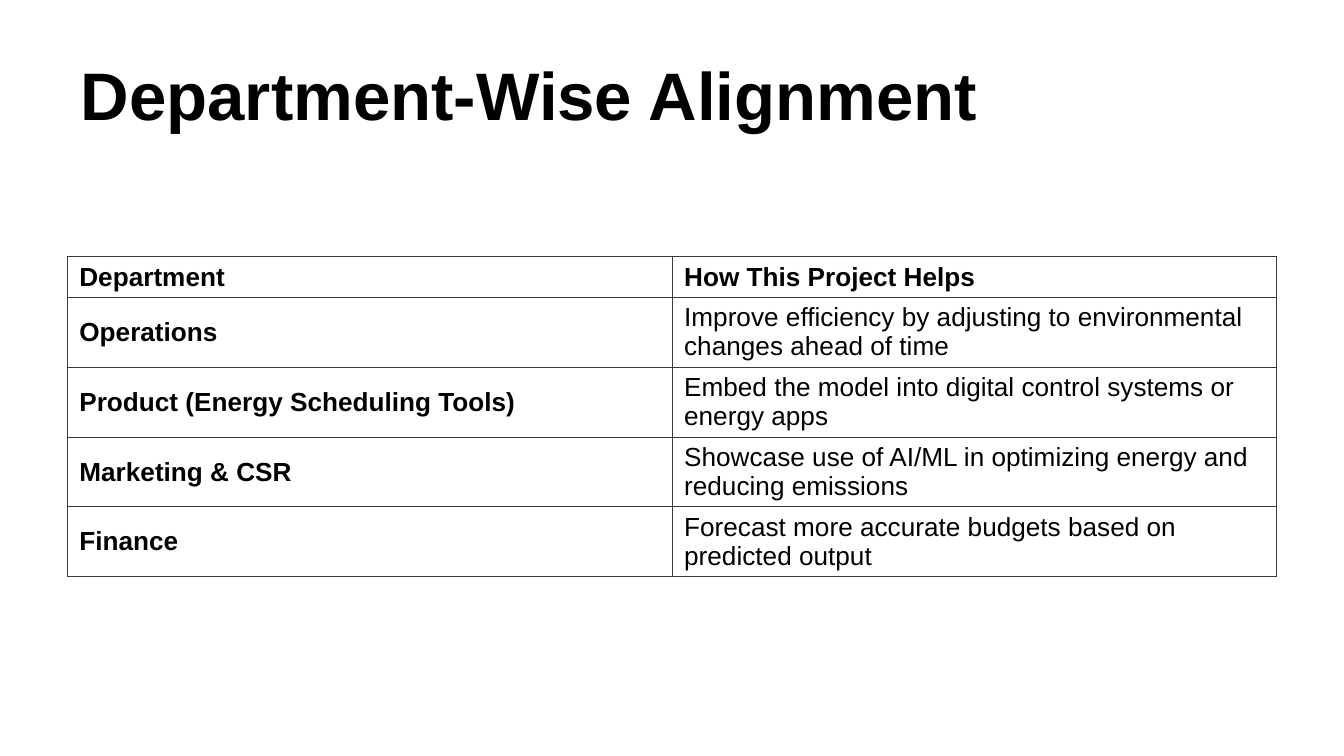
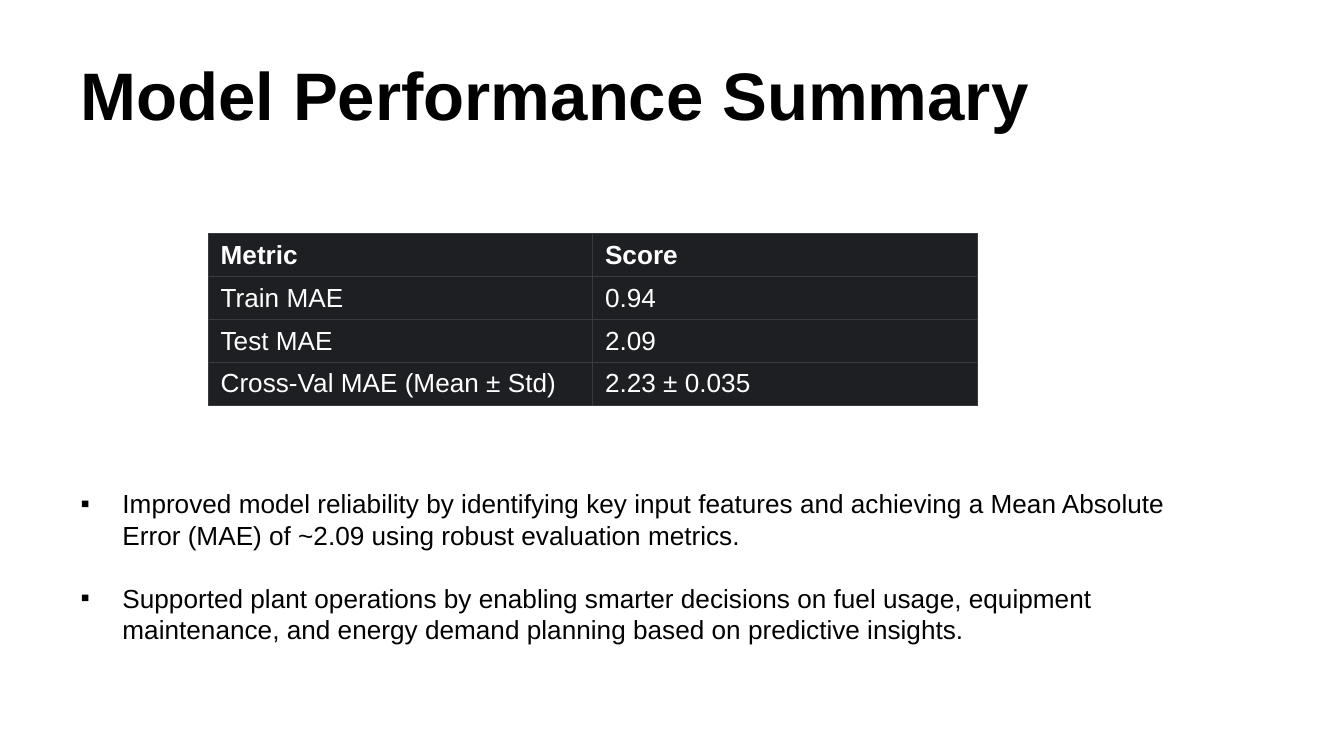
"""Build two slides: department alignment and model performance."""
from pptx import Presentation
from pptx.dml.color import RGBColor
from pptx.enum.text import MSO_ANCHOR as Anchor, MSO_AUTO_SIZE as Fit, PP_ALIGN as Align
from pptx.oxml import parse_xml
from pptx.oxml.ns import nsdecls
from pptx.util import Cm, Pt

BLACK = RGBColor(0x00, 0x00, 0x00)
WHITE = RGBColor(0xFF, 0xFF, 0xFF)
DARK = RGBColor(0x1E, 0x1F, 0x22)
EDGE = RGBColor(0x39, 0x3B, 0x40)
FONT = "Arial"
LEFT, WIDTH = Cm(1.27), Cm(22.86)

HELP = [
    ("Department", "How This Project Helps"),
    ("Operations", "Improve efficiency by adjusting to environmental changes ahead of time"),
    ("Product (Energy Scheduling Tools)",
     "Embed the model into digital control systems or energy apps"),
    ("Marketing & CSR", "Showcase use of AI/ML in optimizing energy and reducing emissions"),
    ("Finance", "Forecast more accurate budgets based on predicted output"),
]
SCORES = [
    ("Metric", "Score"),
    ("Train MAE", "0.94"),
    ("Test MAE", "2.09"),
    ("Cross-Val MAE (Mean ± Std)", "2.23 ± 0.035"),
]
POINTS = [
    "Improved model reliability by identifying key input features and achieving "
    "a Mean Absolute Error (MAE) of ~2.09 using robust evaluation metrics.",
    "Supported plant operations by enabling smarter decisions on fuel usage, equipment "
    "maintenance, and energy demand planning based on predictive insights.",
]


def style(para, size, color, bold=False):
    para.alignment = Align.LEFT
    for run in para.runs:
        font = run.font
        font.name, font.size, font.bold = FONT, Pt(size), bold
        font.color.rgb = color


def add_grid(slide, data, left, top, width, heights, color, fill=None, lead=False):
    frame = slide.shapes.add_table(len(data), 2, left, top, width, sum(heights))
    table = frame.table
    table.first_row = table.horz_banding = False
    for row, height in zip(table.rows, heights):
        row.height = height
    for r, texts in enumerate(data):
        for c, text in enumerate(texts):
            cell = table.cell(r, c)
            cell.text_frame.text = text
            style(cell.text_frame.paragraphs[0], 14, color, r == 0 or (lead and c == 0))
            cell.vertical_anchor = Anchor.MIDDLE
            cell.margin_left = cell.margin_right = Cm(0.23)
            cell.margin_top = cell.margin_bottom = Cm(0.1)
            props = cell._tc.get_or_add_tcPr()
            for side in "LRTB":
                props.append(parse_xml(
                    f'<a:ln{side} {nsdecls("a")} w="{Pt(0.5)}"><a:solidFill>'
                    f'<a:srgbClr val="{EDGE}"/></a:solidFill></a:ln{side}>'))
            if fill is None:
                cell.fill.background()
            else:
                cell.fill.solid()
                cell.fill.fore_color.rgb = fill


deck = Presentation()
deck.slide_width, deck.slide_height = Cm(25.4), Cm(14.29)

slides = []
for name, index in [("Department-Wise Alignment", 5), ("Model Performance Summary", 1)]:
    slide = deck.slides.add_slide(deck.slide_layouts[index])
    slide.background.fill.solid()
    slide.background.fill.fore_color.rgb = WHITE
    title = slide.shapes.title
    title.left, title.top, title.width, title.height = LEFT, Cm(0.58), WIDTH, Cm(2.39)
    title.text_frame.text = name
    title.text_frame.auto_size = Fit.NONE
    title.text_frame.vertical_anchor = Anchor.MIDDLE
    style(title.text_frame.paragraphs[0], 36, BLACK, True)
    slides.append(slide)
align, model = slides

add_grid(align, HELP, LEFT, Cm(4.85), WIDTH, [Cm(0.77)] + [Cm(1.32)] * 4, BLACK, lead=True)

body = model.placeholders[1]
body.left, body.top, body.width, body.height = LEFT, Cm(9.09), Cm(21.51), Cm(3.25)
frame = body.text_frame
frame.text = "\n".join(POINTS)
frame.auto_size = Fit.SHAPE_TO_FIT_TEXT
frame.vertical_anchor = Anchor.TOP
for para in frame.paragraphs:
    style(para, 14, BLACK)
    para.space_before = Pt(0)
    para.space_after = Pt(17)
    props = para._p.get_or_add_pPr()
    props.set("marL", str(Cm(0.79)))
    props.set("indent", str(-Cm(0.79)))
    for tag in (f'buClr {nsdecls("a")}><a:srgbClr val="{BLACK}"/></a:buClr',
                f'buFont {nsdecls("a")} typeface="{FONT}"/',
                f'buChar {nsdecls("a")} char="▪"/'):
        props.append(parse_xml(f"<a:{tag}>"))
frame.paragraphs[-1].space_after = Pt(0)

add_grid(model, SCORES, Cm(3.94), Cm(4.42), Cm(14.53), [Cm(0.81)] * 4, WHITE, DARK)

deck.save("out.pptx")
